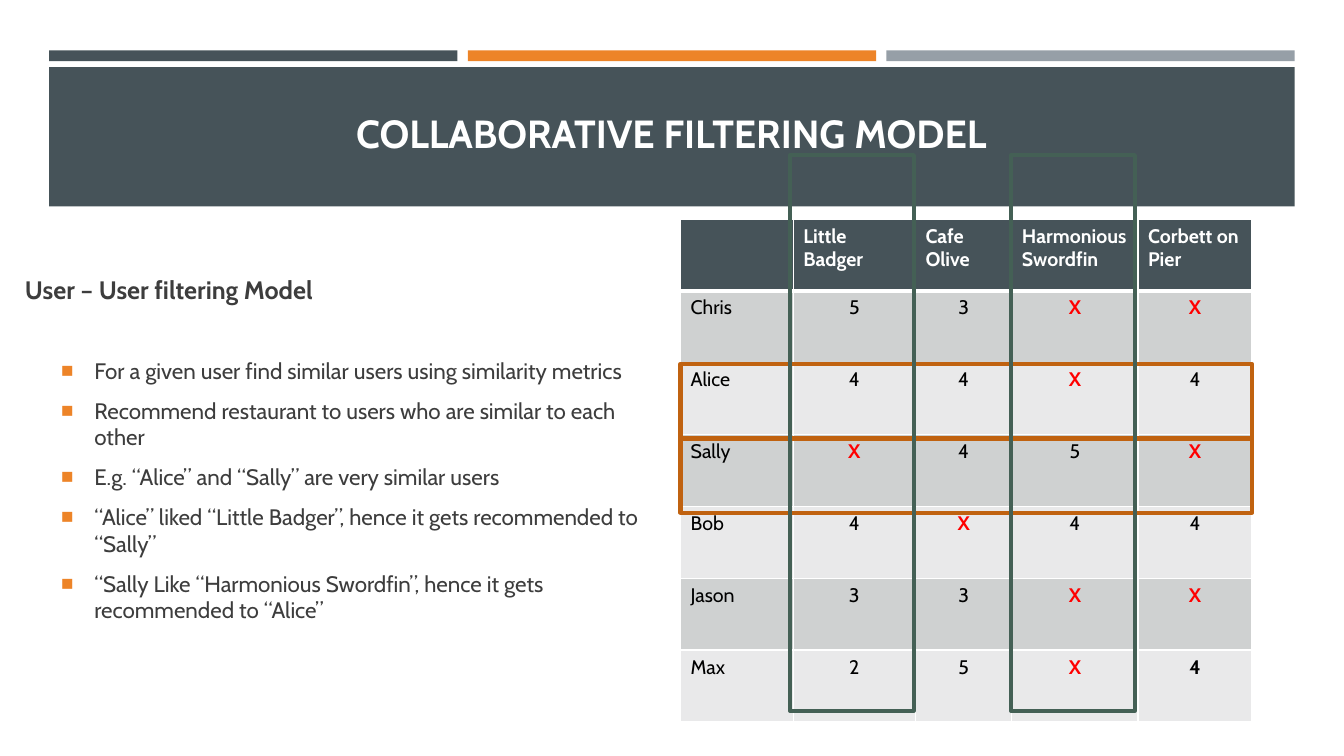
from lxml.etree import SubElement
from pptx import Presentation
from pptx.dml.color import RGBColor
from pptx.enum.shapes import MSO_SHAPE as Preset
from pptx.enum.text import MSO_ANCHOR as Anchor, PP_ALIGN as Align
from pptx.oxml import parse_xml
from pptx.oxml.ns import nsdecls, qn
from pptx.util import Cm, Pt

FONT = "Cabin"
COLORS = {
    "slate": "465359", "orange": "ED8428", "gray": "969FA7", "white": "FFFFFF",
    "body": "3D3D3D", "black": "000000", "red": "FF0000", "odd": "CFD1D1",
    "even": "E9E9EA", "column": "446055", "row": "C06210",
}
HEADING = "User – User filtering Model"
BULLETS = [
    "For a given user find similar users using similarity metrics",
    "Recommend restaurant to users who are similar to each other",
    "E.g. “Alice” and “Sally” are very similar users",
    "“Alice” liked “Little Badger”, hence it gets recommended to “Sally”",
    "“Sally Like “Harmonious Swordfin”, hence it gets recommended to “Alice”",
]
RATINGS = [
    ["", "Little Badger", "Cafe Olive", "Harmonious Swordfin", "Corbett on Pier"],
    ["Chris", "5", "3", "X", "X"],
    ["Alice", "4", "4", "X", "4"],
    ["Sally", "X", "4", "5", "X"],
    ["Bob", "4", "X", "4", "4"],
    ["Jason", "3", "3", "X", "X"],
    ["Max", "2", "5", "X", "4"],
]
BOLD_RATING = (6, 4)
COLUMN_WIDTHS = [2.84, 3.08, 2.43, 3.18, 2.87]
ROW_HEIGHT = 1.81
TABLE_LEFT, TABLE_TOP = 17.15, 5.52


def rgb(name):
    """Look up a named colour."""
    return RGBColor.from_string(COLORS[name])


def add_span(para, text, size, color, bold=False):
    """Add one formatted run to a paragraph."""
    span = para.add_run()
    span.text = text
    span.font.name = FONT
    span.font.size = Pt(size)
    span.font.bold = bold
    span.font.color.rgb = rgb(color)


def add_box(page, left, top, width, height, fill=None, line=None):
    """Add a rectangle that is either filled or outlined."""
    box = page.shapes.add_shape(Preset.RECTANGLE, Cm(left), Cm(top), Cm(width), Cm(height))
    box.shadow.inherit = False
    if fill:
        box.fill.solid()
        box.fill.fore_color.rgb = rgb(fill)
    else:
        box.fill.background()
    if line:
        box.line.color.rgb = rgb(line)
        box.line.width = Pt(3)
    else:
        box.line.fill.background()


def add_text_frame(page, left, top, width, height, anchor):
    """Add a wrapping text box and return its frame."""
    box = page.shapes.add_textbox(Cm(left), Cm(top), Cm(width), Cm(height))
    frame = box.text_frame
    frame.word_wrap = True
    frame.vertical_anchor = anchor
    return frame


def set_bullet(para):
    """Give a paragraph a hanging orange square."""
    props = para._p.get_or_add_pPr()
    props.set("marL", str(Cm(1.75)))
    props.set("indent", str(-Cm(0.84)))
    color = SubElement(props, qn("a:buClr"))
    SubElement(color, qn("a:srgbClr"), val=COLORS["orange"])
    SubElement(props, qn("a:buSzPct"), val="92000")
    SubElement(props, qn("a:buFont"), typeface="Arial")
    SubElement(props, qn("a:buChar"), char="■")


def set_borders(cell, bottom):
    """Draw white borders with the given bottom width in points."""
    props = cell._tc.get_or_add_tcPr()
    widths = {"lnL": 1, "lnR": 1, "lnT": 1, "lnB": bottom}
    for position, (side, width) in enumerate(widths.items()):
        border = parse_xml(
            f'<a:{side} {nsdecls("a")} w="{Pt(width)}"><a:solidFill>'
            f'<a:srgbClr val="{COLORS["white"]}"/></a:solidFill></a:{side}>'
        )
        props.insert(position, border)


def fill_cell(cell, text, row, column):
    """Write and style one table cell."""
    header = row == 0
    missing = text == "X"
    cell.fill.solid()
    cell.fill.fore_color.rgb = rgb("slate" if header else "odd" if row % 2 else "even")
    set_borders(cell, 3 if header else 1)
    para = cell.text_frame.paragraphs[0]
    if not header and column:
        para.alignment = Align.CENTER
    if text:
        color = "white" if header else "red" if missing else "black"
        add_span(para, text, 14, color, header or missing or (row, column) == BOLD_RATING)


def add_ratings(page):
    """Add the table of user ratings."""
    frame = page.shapes.add_table(
        len(RATINGS), len(COLUMN_WIDTHS), Cm(TABLE_LEFT), Cm(TABLE_TOP),
        Cm(sum(COLUMN_WIDTHS)), Cm(ROW_HEIGHT * len(RATINGS)),
    )
    table = frame.table
    for column, width in enumerate(COLUMN_WIDTHS):
        table.columns[column].width = Cm(width)
    for row, texts in enumerate(RATINGS):
        table.rows[row].height = Cm(ROW_HEIGHT)
        for column, text in enumerate(texts):
            fill_cell(table.cell(row, column), text, row, column)


def add_header(page):
    """Add the accent bars, the banner and the title."""
    for index, color in enumerate(["slate", "orange", "gray"]):
        add_box(page, 1.24 + 10.55 * index, 1.27, 10.29, 0.27, fill=color)
    add_box(page, 1.24, 1.69, 31.39, 3.51, fill="slate")
    para = add_text_frame(page, 2.31, 0.38, 29.21, 3.68, Anchor.BOTTOM).paragraphs[0]
    para.alignment = Align.CENTER
    add_span(para, "COLLABORATIVE FILTERING MODEL", 28, "white", True)


def add_explanation(page):
    """Add the heading and its bullets."""
    frame = add_text_frame(page, 0.38, 3.91, 16.31, 14.81, Anchor.MIDDLE)
    heading = frame.paragraphs[0]
    heading.space_before = Pt(3.6)
    heading.space_after = Pt(34)
    add_span(heading, HEADING, 18, "body", True)
    for text in BULLETS:
        para = frame.add_paragraph()
        para.space_before = Pt(3.2)
        para.space_after = Pt(6)
        set_bullet(para)
        add_span(para, text, 16, "body")


def main():
    """Build and save the slide."""
    deck = Presentation()
    deck.slide_width, deck.slide_height = Cm(33.87), Cm(19.05)
    page = deck.slides.add_slide(deck.slide_layouts[6])
    add_header(page)
    add_explanation(page)
    add_ratings(page)
    for top in (11.04, 9.17):
        add_box(page, TABLE_LEFT, top, sum(COLUMN_WIDTHS), 1.88, line="row")
    for left in (19.91, 25.48):
        add_box(page, left, 3.91, 3.12, 14, line="column")
    deck.save("out.pptx")


if __name__ == "__main__":
    main()
